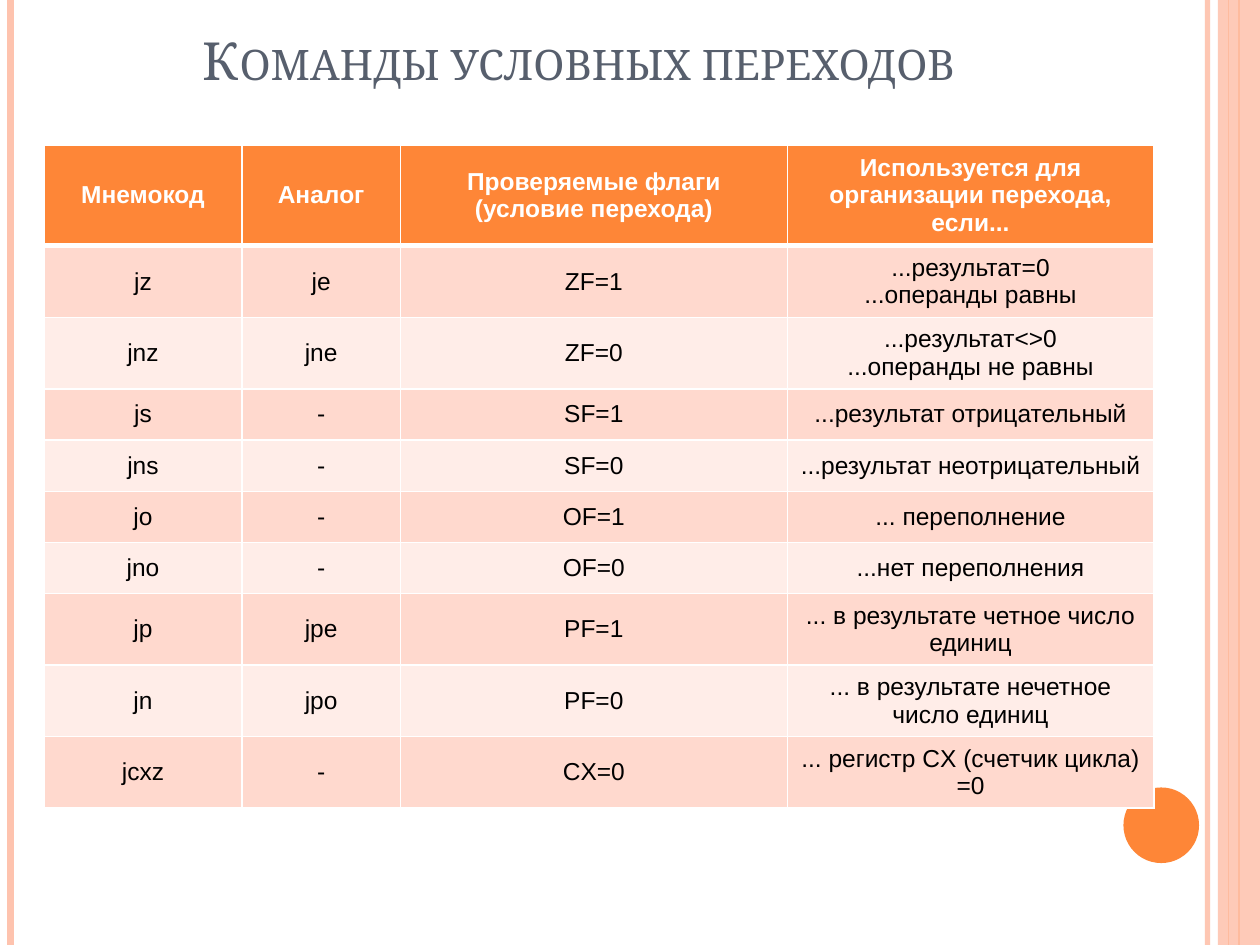
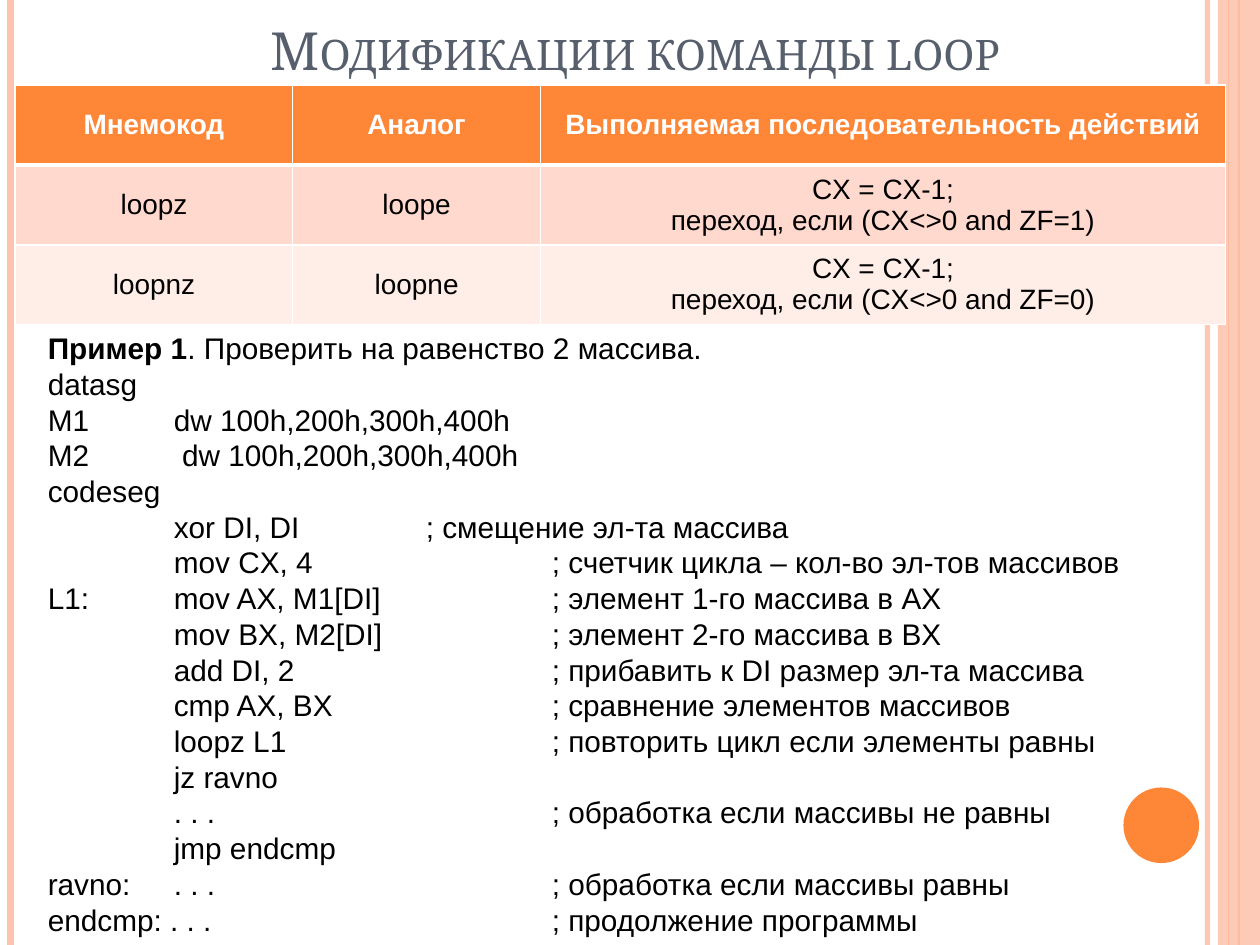
import pptx
import pptx.dml.color
import pptx.enum.shapes
import pptx.enum.text
import pptx.oxml
import pptx.oxml.ns
import pptx.util
import lxml.etree

Pt = pptx.util.Pt
qn = pptx.oxml.ns.qn
SHAPES = pptx.enum.shapes.MSO_SHAPE
ANCHOR = pptx.enum.text.MSO_ANCHOR
ALIGN = pptx.enum.text.PP_ALIGN

COLORS = {
    "orange": "FE8637",
    "peach": "FEC3AE",
    "title": "575F6D",
    "row_dark": "FFD9CE",
    "row_light": "FFEDE8",
    "white": "FFFFFF",
    "black": "000000",
}
BODY_FONT = "Arial"
TITLE_FONT = "Noto Serif"
PAGE_WIDTH, PAGE_HEIGHT = 720, 540


def paint(color_format, name, opacity=100):
    color_format.rgb = pptx.dml.color.RGBColor.from_string(COLORS[name])
    if opacity < 100:
        node = color_format._xFill.find(qn("a:srgbClr"))
        lxml.etree.SubElement(node, qn("a:alpha"), val=str(opacity * 1000))


def add_span(para, text, size, color, font=BODY_FONT, bold=False):
    span = para.add_run()
    span.text = text
    span.font.size = Pt(size)
    span.font.name = font
    span.font.bold = bold
    paint(span.font.color, color)
    return span


vertical_lines = [
    (690, "peach", 3, 93),
    (6, "peach", 4.5, 100),
    (708, "orange", 1.5, 100),
    (702, "orange", 0.75, 100),
]
decorations = [
    (SHAPES.RECTANGLE, (696, 0, 24, PAGE_HEIGHT), "peach", 87),
    (SHAPES.OVAL, (642, 450, 43.2, 43.2), "orange", 100),
]

topics = [
    {
        "title": "Команды условных переходов",
        "title_at": (36.7, 0, 588.2, 55.4),
        "table_at": (25.2, 82.8),
        "columns": [113, 90.7, 221, 209.5],
        "row_height": 29.3,
        "size": 14,
        "rows": [
            ["Мнемокод", "Аналог", "Проверяемые флаги (условие перехода)",
             "Используется для организации перехода, если..."],
            ["jz", "je", "ZF=1", "...результат=0\n...операнды равны"],
            ["jnz", "jne", "ZF=0", "...результат<>0\n...операнды не равны"],
            ["js", "-", "SF=1", "...результат отрицательный"],
            ["jns", "-", "SF=0", "...результат неотрицательный"],
            ["jo", "-", "OF=1", "... переполнение"],
            ["jno", "-", "OF=0", "...нет переполнения"],
            ["jp", "jpe", "PF=1", "... в результате четное число единиц"],
            ["jn", "jpo", "PF=0", "... в результате нечетное число единиц"],
            ["jcxz", "-", "CX=0", "... регистр CX (счетчик цикла) =0"],
        ],
    },
    {
        "title": "Модификации команды loop",
        "title_at": (39, 0, 648, 49.6),
        "table_at": (8.8, 48.7),
        "columns": [158.4, 141.8, 391.2],
        "row_height": 45.6,
        "size": 16,
        "rows": [
            ["Мнемокод", "Аналог", "Выполняемая последовательность действий"],
            ["loopz", "loope", "CX = CX-1;\nпереход, если (CX<>0 and ZF=1)"],
            ["loopnz", "loopne", "CX = CX-1;\nпереход, если (CX<>0 and ZF=0)"],
        ],
    },
]

example_lines = [
    "datasg",
    "M1\tdw 100h,200h,300h,400h",
    "M2\t dw 100h,200h,300h,400h",
    "codeseg",
    "\txor DI, DI\t\t; смещение эл-та массива",
    "\tmov CX, 4\t\t; счетчик цикла – кол-во эл-тов массивов",
    "L1:\tmov AX, M1[DI]\t\t; элемент 1-го массива в AX",
    "\tmov BX, M2[DI]\t\t; элемент 2-го массива в BX",
    "\tadd DI, 2\t\t\t; прибавить к DI размер эл-та массива",
    "\tcmp AX, BX\t\t; сравнение элементов массивов",
    "\tloopz L1\t\t\t; повторить цикл если элементы равны",
    "\tjz ravno",
    "\t. . . \t\t\t; обработка если массивы не равны",
    "\tjmp endcmp",
    "ravno:\t. . .\t\t\t; обработка если массивы равны",
    "endcmp: . . .\t\t\t; продолжение программы",
]

deck = pptx.Presentation()
deck.slide_width = Pt(PAGE_WIDTH)
deck.slide_height = Pt(PAGE_HEIGHT)

for topic in topics:
    page = deck.slides.add_slide(deck.slide_layouts[6])
    page.background.fill.solid()
    paint(page.background.fill.fore_color, "white")

    for x, color, width, opacity in vertical_lines:
        line = page.shapes.add_connector(
            pptx.enum.shapes.MSO_CONNECTOR.STRAIGHT, Pt(x), Pt(0), Pt(x), Pt(PAGE_HEIGHT))
        line.line.width = Pt(width)
        line.line.fill.solid()
        paint(line.line.fill.fore_color, color, opacity)
        lxml.etree.SubElement(line._element.spPr, qn("a:effectLst"))

    for kind, place, color, opacity in decorations:
        shape = page.shapes.add_shape(kind, *map(Pt, place))
        shape.shadow.inherit = False
        shape.line.fill.background()
        shape.fill.solid()
        paint(shape.fill.fore_color, color, opacity)

    title_box = page.shapes.add_textbox(*map(Pt, topic["title_at"]))
    title_box.text_frame.word_wrap = True
    title_box.text_frame.vertical_anchor = ANCHOR.BOTTOM
    para = title_box.text_frame.paragraphs[0]
    para.alignment = ALIGN.CENTER
    span = add_span(para, topic["title"], 30, "title", TITLE_FONT)
    span.font._element.set("cap", "small")

    rows, columns = topic["rows"], topic["columns"]
    left, top = topic["table_at"]
    frame = page.shapes.add_table(
        len(rows), len(columns), Pt(left), Pt(top),
        Pt(sum(columns)), Pt(topic["row_height"] * len(rows)))
    table = frame.table
    for column, width in zip(table.columns, columns):
        column.width = Pt(width)
    for row_index, row in enumerate(rows):
        table.rows[row_index].height = Pt(topic["row_height"])
        is_header = row_index == 0
        row_fill = "orange" if is_header else ("row_light", "row_dark")[row_index % 2]
        borders = {"L": 1, "R": 1, "T": 3 if row_index == 1 else 1, "B": 3 if is_header else 1}
        for column_index, text in enumerate(row):
            cell = table.cell(row_index, column_index)
            cell.vertical_anchor = ANCHOR.MIDDLE
            properties = cell._tc.get_or_add_tcPr()
            for side, width in borders.items():
                border = lxml.etree.SubElement(properties, qn("a:ln" + side), w=str(Pt(width)))
                border_fill = lxml.etree.SubElement(border, qn("a:solidFill"))
                lxml.etree.SubElement(border_fill, qn("a:srgbClr"), val=COLORS["white"])
            cell.fill.solid()
            paint(cell.fill.fore_color, row_fill)
            for part_index, part in enumerate(text.split("\n")):
                cell_text = cell.text_frame
                para = cell_text.add_paragraph() if part_index else cell_text.paragraphs[0]
                para.alignment = ALIGN.CENTER
                add_span(para, part, topic["size"], "white" if is_header else "black", bold=is_header)

example_box = page.shapes.add_textbox(Pt(20.2), Pt(185), Pt(669), Pt(357))
example_text = example_box.text_frame
example_text.word_wrap = True
para = example_text.paragraphs[0]
add_span(para, "Пример 1", 17, "black", bold=True)
add_span(para, ". Проверить на равенство 2 массива.", 17, "black")
for text in example_lines:
    para = example_text.add_paragraph()
    tabs = lxml.etree.SubElement(para._p.get_or_add_pPr(), qn("a:tabLst"))
    for step in range(1, 5):
        lxml.etree.SubElement(tabs, qn("a:tab"), pos=str(Pt(72 * step)), algn="l")
    add_span(para, text, 17, "black")

deck.save("out.pptx")
